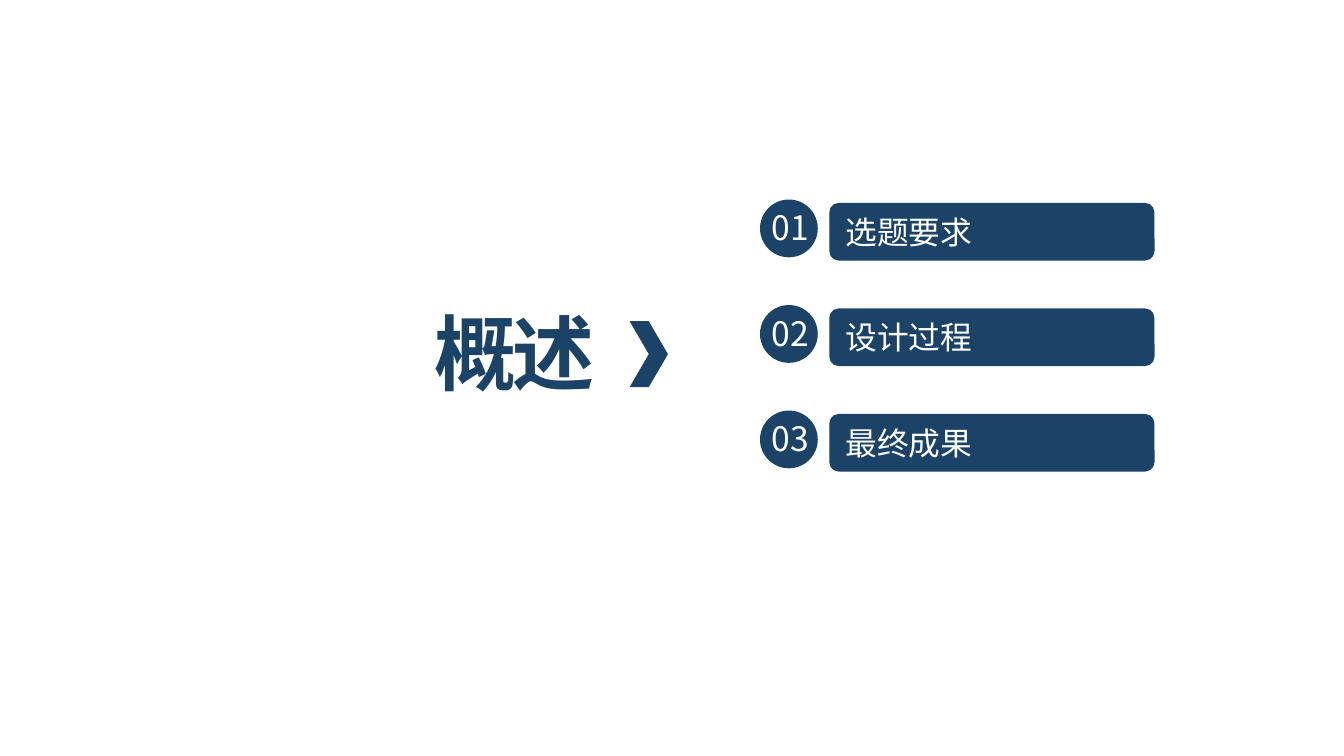
from dataclasses import dataclass

from pptx import Presentation
from pptx.dml.color import RGBColor
from pptx.enum.shapes import MSO_SHAPE
from pptx.enum.text import MSO_ANCHOR, MSO_AUTO_SIZE, PP_ALIGN
from pptx.oxml.ns import qn
from pptx.shapes.autoshape import Shape
from pptx.slide import Slide
from pptx.util import Pt
from lxml.etree import SubElement

PX = 4572


@dataclass(frozen=True)
class Theme:
    navy: RGBColor = RGBColor(0x1B, 0x43, 0x67)
    white: RGBColor = RGBColor(0xFF, 0xFF, 0xFF)
    font: str = "Noto Sans CJK SC"
    title_size: int = 44
    number_size: int = 18
    item_size: int = 17
    title_spacing: int = -220


@dataclass(frozen=True)
class Box:
    left: int
    top: int
    width: int
    height: int

    def down(self, dy: int) -> "Box":
        return Box(self.left, self.top + dy, self.width, self.height)

    def emu(self) -> tuple[int, int, int, int]:
        return self.left * PX, self.top * PX, self.width * PX, self.height * PX


@dataclass(frozen=True)
class Item:
    number: str
    label: str


THEME = Theme()
ITEMS = [Item("01", "选题要求"), Item("02", "设计过程"), Item("03", "最终成果")]
TITLE = Box(626, 440, 470, 168)
CHEVRON = Box(937, 478, 57, 98)
BAR = Box(1234, 302, 484, 86)
CIRCLE = Box(1131, 297, 86, 86)
NUMBER = Box(1124, 298, 104, 80)
PITCH = 157


def write(sp: Shape, text: str, size: int, color: RGBColor,
          align: PP_ALIGN = PP_ALIGN.LEFT, bold: bool = False, spacing: int = 0) -> None:
    tf = sp.text_frame
    tf.text = text
    tf.word_wrap = True
    tf.auto_size = MSO_AUTO_SIZE.NONE
    tf.vertical_anchor = MSO_ANCHOR.MIDDLE
    p = tf.paragraphs[0]
    p.alignment = align
    r = p.runs[0]
    r.font.name = THEME.font
    r.font.size = Pt(size)
    r.font.bold = bold
    r.font.color.rgb = color
    rpr = r.font._element
    SubElement(rpr, qn("a:ea")).set("typeface", THEME.font)
    if spacing:
        rpr.set("spc", str(spacing))


def add_solid(shapes, kind: MSO_SHAPE, box: Box) -> Shape:
    sp = shapes.add_shape(kind, *box.emu())
    sp.shadow.inherit = False
    sp.fill.solid()
    sp.fill.fore_color.rgb = THEME.navy
    sp.line.fill.background()
    return sp


def add_title(s: Slide, text: str) -> None:
    sp = s.shapes.title
    sp.left, sp.top, sp.width, sp.height = TITLE.emu()
    write(sp, text, THEME.title_size, THEME.navy, bold=True, spacing=THEME.title_spacing)


def add_item(s: Slide, item: Item, dy: int) -> None:
    bar = add_solid(s.shapes, MSO_SHAPE.ROUNDED_RECTANGLE, BAR.down(dy))
    write(bar, item.label, THEME.item_size, THEME.white)
    badge = s.shapes.add_group_shape()
    add_solid(badge.shapes, MSO_SHAPE.OVAL, CIRCLE.down(dy))
    number = badge.shapes.add_textbox(*NUMBER.down(dy).emu())
    write(number, item.number, THEME.number_size, THEME.white, PP_ALIGN.CENTER)


def main() -> None:
    prs = Presentation()
    prs.slide_width, prs.slide_height = 2000 * PX, 1125 * PX
    s = prs.slides.add_slide(prs.slide_layouts[5])
    add_title(s, "概述")
    for i, item in enumerate(ITEMS):
        add_item(s, item, i * PITCH)
    add_solid(s.shapes, MSO_SHAPE.CHEVRON, CHEVRON)
    prs.save("out.pptx")


if __name__ == "__main__":
    main()
